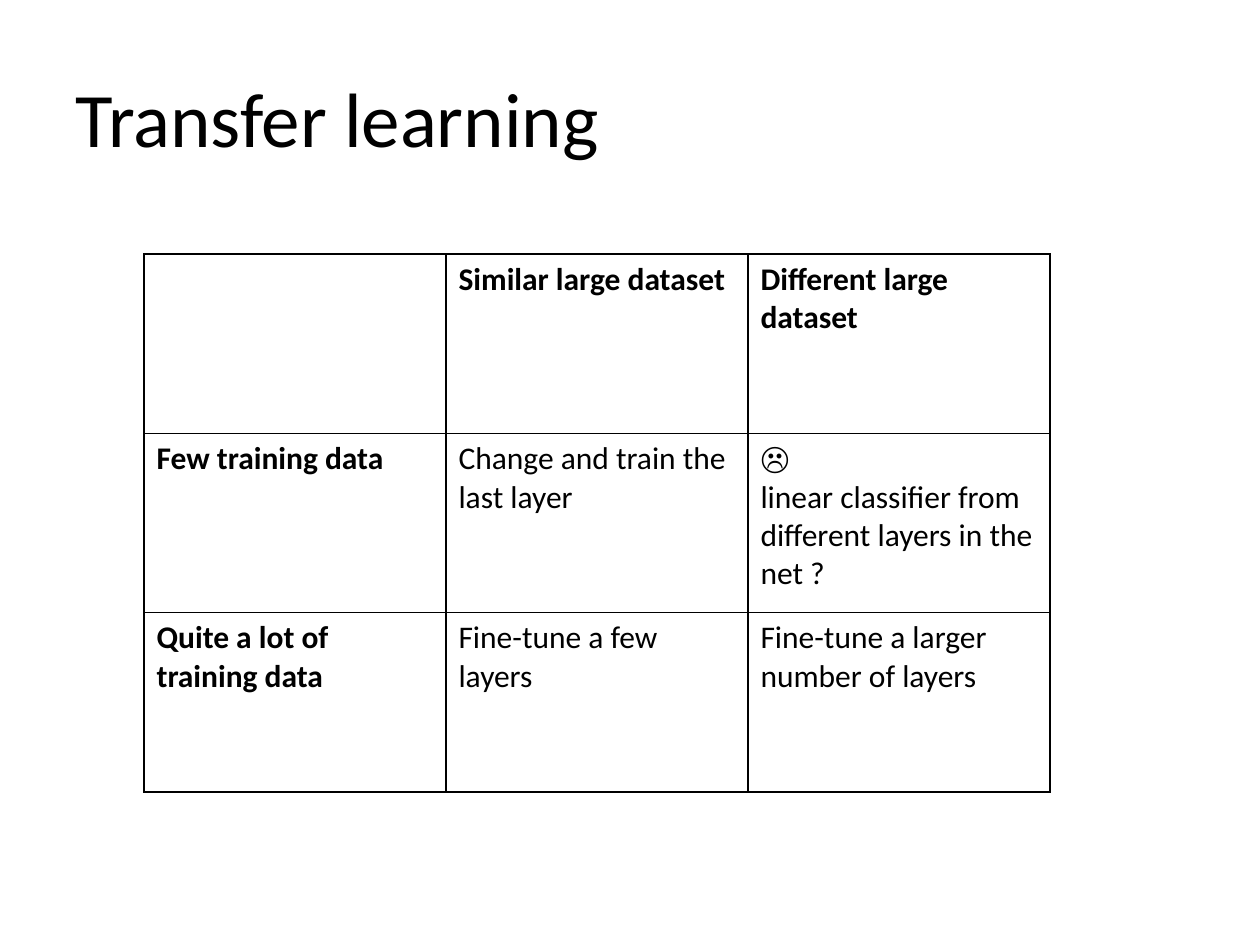
from lxml.etree import SubElement
from pptx import Presentation
from pptx.dml.color import RGBColor
from pptx.enum.text import MSO_ANCHOR
from pptx.oxml.ns import qn
from pptx.util import Emu, Pt

SCALE = 914400 // 126
FONT = "Calibri"
INK = "000000"
ROWS = [
    ["", "Similar large dataset", "Different large dataset"],
    ["Few training data", "Change and train the last layer",
     "☹\nlinear classifier from different layers in the net ?"],
    ["Quite a lot of training data", "Fine-tune a few layers",
     "Fine-tune a larger number of layers"],
]


def px(n):
    return Emu(n * SCALE)


def color(code):
    return RGBColor.from_string(code)


def write(frame, text, size=18, bold=False, ink=INK):
    """Fill a text frame, one paragraph per line of text."""
    frame.word_wrap = True
    frame.text = text
    for para in frame.paragraphs:
        font = para.font
        font.size, font.bold, font.name = Pt(size), bold, FONT
        font.color.rgb = color(ink)
        for run in para.runs:
            run.font.size, run.font.bold, run.font.name = Pt(size), bold, FONT
            run.font.color.rgb = color(ink)


def border(cell, ink=INK, width=1):
    """Draw all four edges of a cell; edges must precede its fill."""
    props = cell._tc.get_or_add_tcPr()
    for side in ("a:lnL", "a:lnR", "a:lnT", "a:lnB"):
        line = SubElement(props, qn(side), w=str(Pt(width)))
        fill = SubElement(line, qn("a:solidFill"))
        SubElement(fill, qn("a:srgbClr"), val=ink)


def title(slide, box, text):
    frame = slide.shapes.add_textbox(*map(px, box)).text_frame
    write(frame, text, size=44)
    frame.vertical_anchor = MSO_ANCHOR.MIDDLE


def grid(slide, box, rows):
    shape = slide.shapes.add_table(len(rows), len(rows[0]), *map(px, box))
    table = shape.table
    table.first_row = table.horz_banding = False
    for r, row in enumerate(rows):
        for c, text in enumerate(row):
            cell = table.cell(r, c)
            border(cell)
            cell.fill.background()
            # Headings run along the top row and the left column
            write(cell.text_frame, text, bold=r == 0 or c == 0)


def main():
    deck = Presentation()
    deck.slide_width, deck.slide_height = px(1260), px(945)
    slide = deck.slides.add_slide(deck.slide_layouts[6])

    # Heading
    title(slide, (63, 38, 1134, 158), "Transfer learning")
    # Advice by data size and likeness
    grid(slide, (144, 254, 906, 538), ROWS)

    deck.save("out.pptx")


if __name__ == "__main__":
    main()
